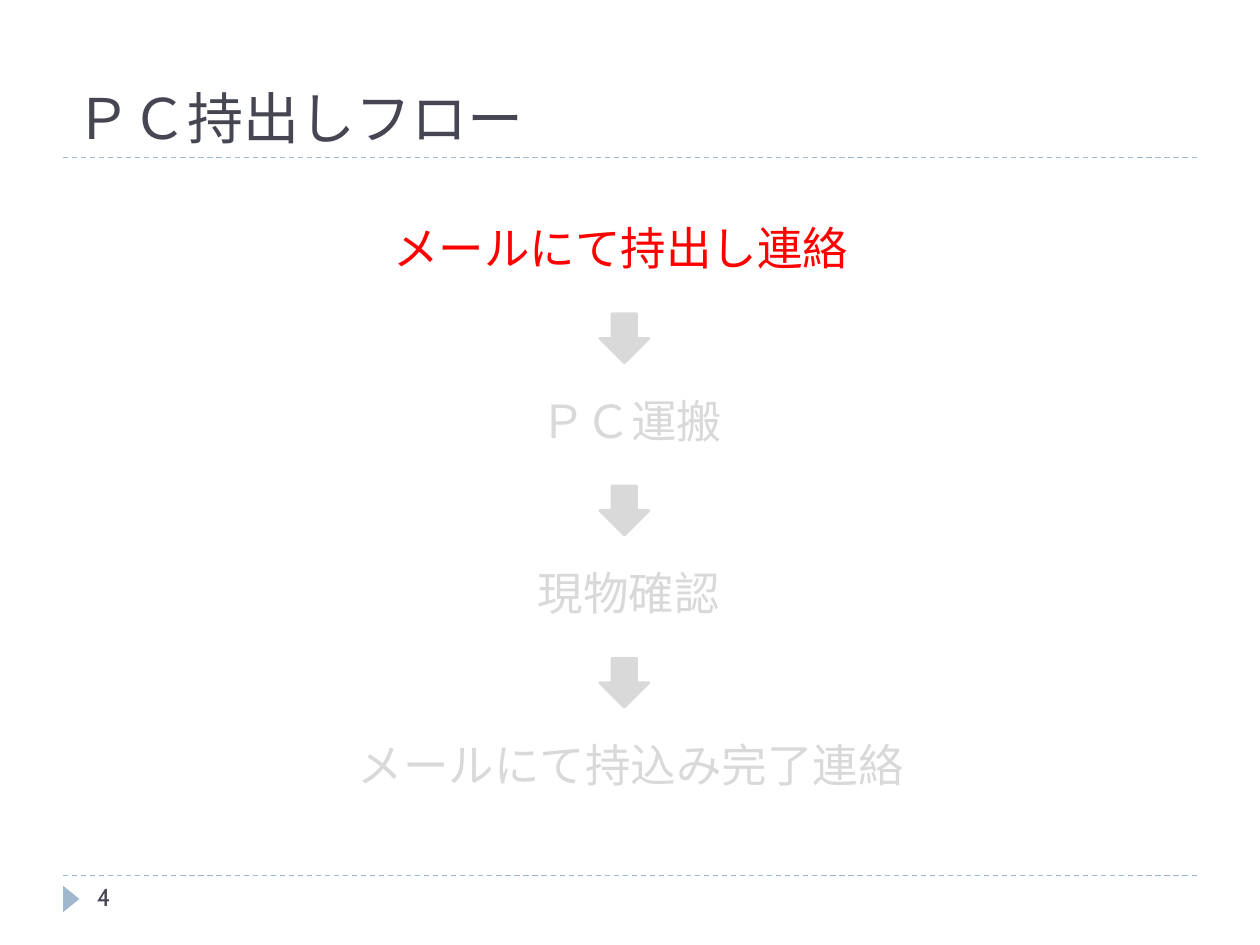
from pptx import Presentation
from pptx.dml.color import RGBColor
from pptx.enum.dml import MSO_LINE
from pptx.enum.shapes import MSO_CONNECTOR, MSO_SHAPE
from pptx.enum.text import MSO_ANCHOR, MSO_AUTO_SIZE, PP_ALIGN
from pptx.oxml.ns import qn
from pptx.util import Inches, Pt
from lxml import etree

STRAIGHT = MSO_CONNECTOR.STRAIGHT
DOWN_ARROW = MSO_SHAPE.DOWN_ARROW
TRIANGLE = MSO_SHAPE.ISOSCELES_TRIANGLE
DASH = MSO_LINE.DASH
BOTTOM, TOP = MSO_ANCHOR.BOTTOM, MSO_ANCHOR.TOP
LEFT, CENTER = PP_ALIGN.LEFT, PP_ALIGN.CENTER
NO_FIT = MSO_AUTO_SIZE.NONE

COLORS = {"ink": "464653", "accent": "9FB8CD", "active": "FF0000", "muted": "D9D9D9"}
HEADING_FONT, BODY_FONT = "Roboto Slab", "Cabin"

STEPS = [
    ("メールにて持出し連絡", 0.43, "active"),
    ("ＰＣ運搬", 0.51, "muted"),
    ("現物確認", 0.49, "muted"),
    ("メールにて持込み完了連絡", 0.51, "muted"),
]


def color(name):
    return RGBColor.from_string(COLORS[name])


def write(holder, text, font_name, size, color_name, align=LEFT, anchor=TOP):
    frame = holder.text_frame
    frame.word_wrap = True
    frame.auto_size = NO_FIT
    frame.vertical_anchor = anchor
    paragraph = frame.paragraphs[0]
    paragraph.text = text
    paragraph.alignment = align
    paragraph.font.name = font_name
    paragraph.font.size = Pt(size)
    paragraph.font.color.rgb = color(color_name)
    return paragraph


def add_rule(slide, left, top, width):
    rule = slide.shapes.add_connector(
        STRAIGHT, Inches(left), Inches(top), Inches(left + width), Inches(top))
    rule.line.color.rgb = color("accent")
    rule.line.width = Pt(0.75)
    rule.line.dash_style = DASH
    etree.SubElement(rule._element.spPr, qn("a:effectLst"))


def add_solid(slide, preset, left, top, width, height, color_name):
    solid = slide.shapes.add_shape(
        preset, Inches(left), Inches(top), Inches(width), Inches(height))
    solid.shadow.inherit = False
    solid.fill.solid()
    solid.fill.fore_color.rgb = color(color_name)
    solid.line.fill.background()
    return solid


def add_heading(slide, left, top, width, height):
    title = slide.shapes.title
    title.left, title.top = Inches(left), Inches(top)
    title.width, title.height = Inches(width), Inches(height)
    write(title, "ＰＣ持出しフロー", HEADING_FONT, 32, "ink", anchor=BOTTOM)
    add_rule(slide, left, top + height, width)


def add_footer(slide, left, top, width):
    add_rule(slide, left, top, width)
    marker = add_solid(slide, TRIANGLE, left - 0.04, top + 0.12, 0.21, 0.13, "accent")
    marker.rotation = 90
    page_number = slide.shapes.add_textbox(
        Inches(left + 0.17), Inches(top), Inches(2.17), Inches(0.4))
    write(page_number, "4", BODY_FONT, 14, "ink")


def add_flow(slide, top, width, pitch):
    step_height, arrow_left, arrow_drop, arrow_size = 0.61, 4.76, 0.79, 0.39
    for index, (label, left, color_name) in enumerate(STEPS):
        step_top = top + index * pitch
        step = slide.shapes.add_textbox(
            Inches(left), Inches(step_top), Inches(width), Inches(step_height))
        write(step, label, BODY_FONT, 26, color_name, CENTER)
        if index < len(STEPS) - 1:
            arrow = add_solid(slide, DOWN_ARROW, arrow_left, step_top + arrow_drop,
                              arrow_size, arrow_size, "muted")
            arrow.line.color.rgb = color("muted")
            arrow.line.width = Pt(1.5)


def main():
    deck = Presentation()
    deck.slide_width, deck.slide_height = Inches(10), Inches(7.5)
    slide = deck.slides.add_slide(deck.slide_layouts[5])
    add_heading(slide, 0.5, 0.17, 9, 1.08)
    add_footer(slide, 0.5, 6.95, 9)
    add_flow(slide, 1.7, 9, 4.1 / 3)
    deck.save("out.pptx")


if __name__ == "__main__":
    main()
